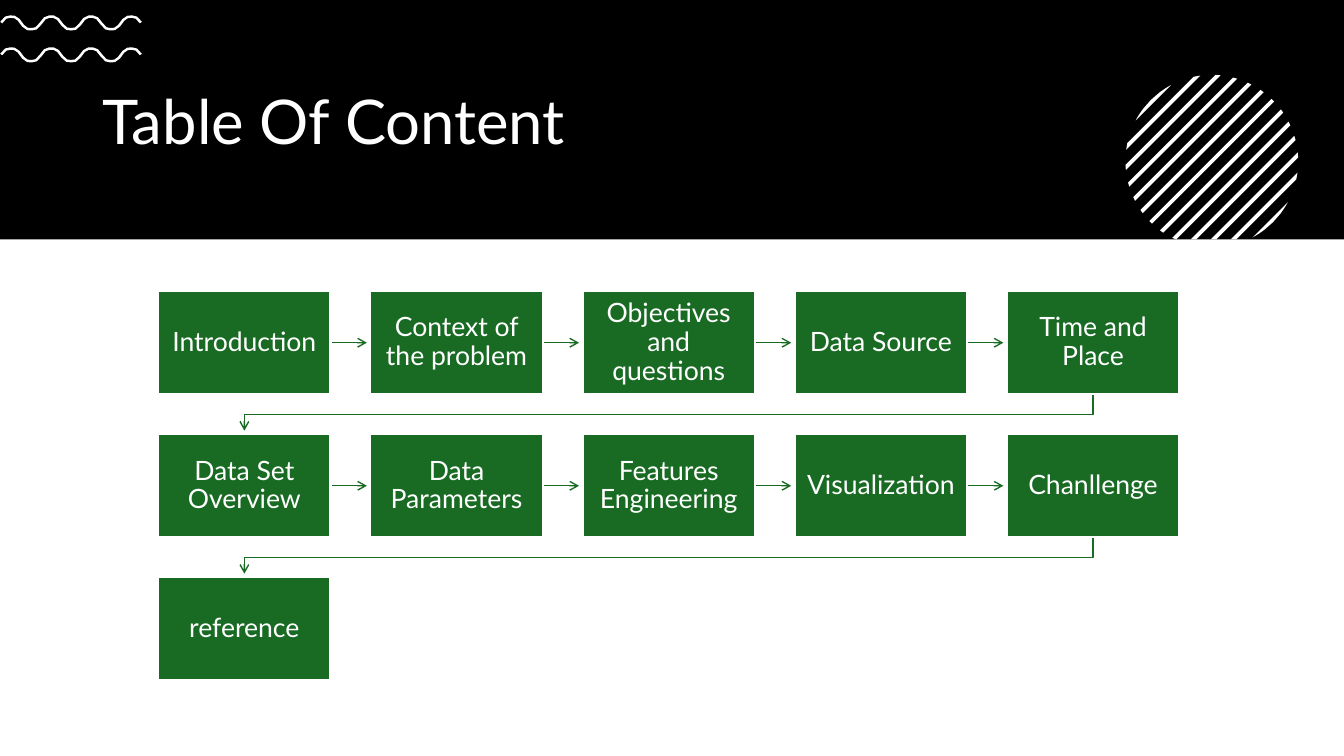
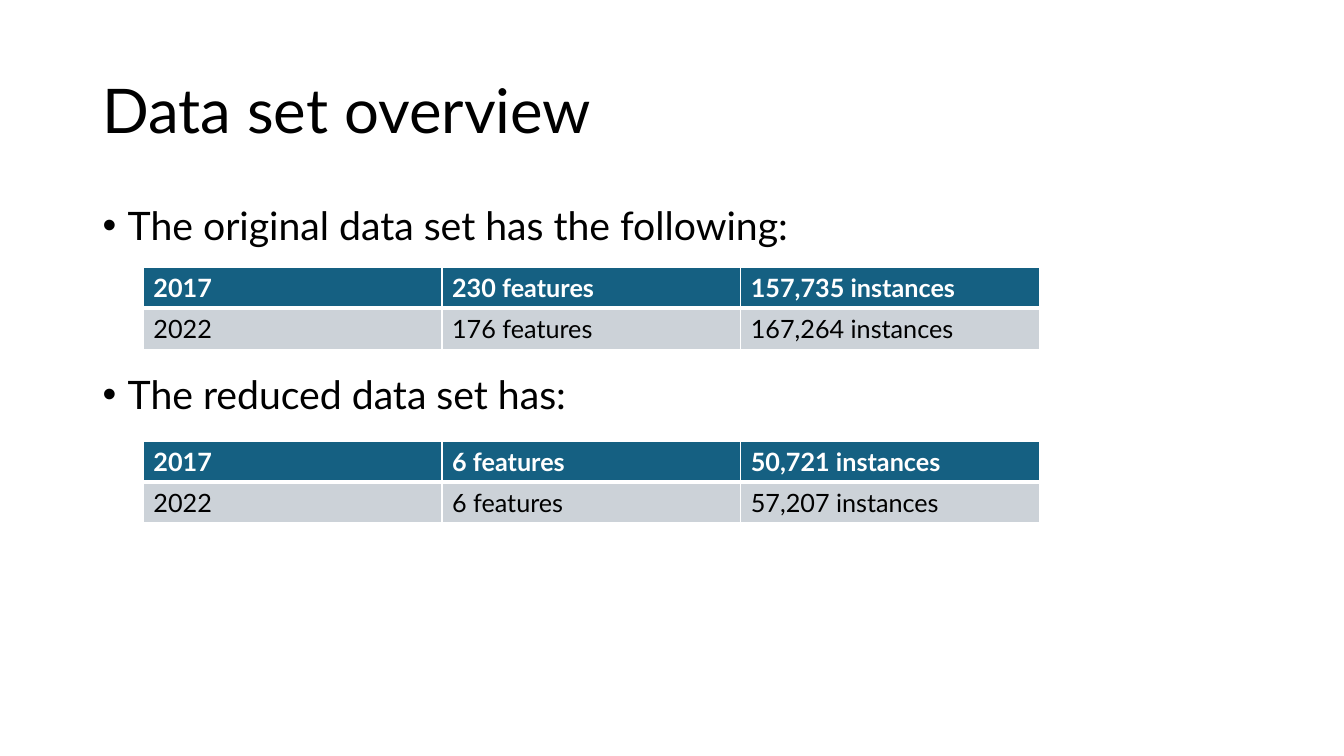
from math import cos, hypot, pi, sin, sqrt

from lxml.etree import SubElement
from pptx import Presentation
from pptx.dml.color import RGBColor
from pptx.enum.shapes import MSO_CONNECTOR, MSO_SHAPE
from pptx.enum.text import MSO_ANCHOR, PP_ALIGN
from pptx.oxml.ns import qn
from pptx.util import Pt

# Shared style
FONT = "Lato"
BLACK = RGBColor(0x00, 0x00, 0x00)
WHITE = RGBColor(0xFF, 0xFF, 0xFF)
GREEN = RGBColor(0x19, 0x6B, 0x24)
BLUE = RGBColor(0x15, 0x60, 0x82)
GREY = RGBColor(0xCC, 0xD2, 0xD8)

SLIDE_W, SLIDE_H = 960, 540
MARGIN, CONTENT_W = 66.2, 828
BAND_H = 171

TOPICS = [
    "Introduction", "Context of the problem", "Objectives and questions",
    "Data Source", "Time and Place", "Data Set Overview", "Data Parameters",
    "Features Engineering", "Visualization", "Chanllenge", "reference",
]
ORIGINAL_DATA = [
    ["2017", "230 features", "157,735 instances"],
    ["2022", "176 features", "167,264 instances"],
]
REDUCED_DATA = [
    ["2017", "6 features", "50,721 instances"],
    ["2022", "6 features", "57,207 instances"],
]


# Helpers
def style_text(p, size, color, bold=False):
    for r in p.runs:
        r.font.name = FONT
        r.font.size = Pt(size)
        r.font.bold = bold
        r.font.color.rgb = color


def add_rect(s, x, y, w, h, fill):
    sp = s.shapes.add_shape(MSO_SHAPE.RECTANGLE, Pt(x), Pt(y), Pt(w), Pt(h))
    sp.shadow.inherit = False
    sp.fill.solid()
    sp.fill.fore_color.rgb = fill
    sp.line.fill.background()
    return sp


def add_path(s, points, closed):
    points = [(Pt(x), Pt(y)) for x, y in points]
    builder = s.shapes.build_freeform(*points[0])
    builder.add_line_segments(points[1:], close=closed)
    return builder.convert_to_shape()


def add_white_outline(s, points):
    sp = add_path(s, points, closed=True)
    sp.shadow.inherit = False
    sp.fill.solid()
    sp.fill.fore_color.rgb = WHITE
    sp.line.fill.background()


def style_arrow(sp):
    sp.line.color.rgb = GREEN
    sp.line.width = Pt(1)
    spPr = sp._element.spPr
    SubElement(spPr.find(qn("a:ln")), qn("a:tailEnd"), type="arrow")
    SubElement(spPr, qn("a:effectLst"))


def add_title(s, text, y, h, color):
    box = s.shapes.add_textbox(Pt(MARGIN), Pt(y), Pt(CONTENT_W), Pt(h))
    tf = box.text_frame
    tf.word_wrap = True
    tf.vertical_anchor = MSO_ANCHOR.MIDDLE
    p = tf.paragraphs[0]
    p.text = text
    p.line_spacing = 0.9
    style_text(p, 44, color)


# Header decorations
def add_wave(s, x, y, w):
    """Ribbon of even thickness along a round-crested wave with its axis at y."""
    period, height, half, count = w / 3.55, 4.5, 0.9, 32
    step = 2 * pi / period
    upper, lower = [], []
    for i in range(count + 1):
        t = half + (w - 2 * half) * i / count
        a = step * t - 0.55 * pi
        rise = height * (cos(a) - 0.1 * cos(3 * a)) / 0.9
        slope = height * step * (sin(a) - 0.3 * sin(3 * a)) / 0.9
        nx, ny = (half * v / hypot(slope, 1) for v in (slope, -1))
        upper.append((x + t + nx, y - rise + ny))
        lower.append((x + t - nx, y - rise - ny))
    add_white_outline(s, upper + lower[::-1])


def add_striped_circle(s, cx, cy, radius, bottom):
    """Diagonal stripes bounded by a circle and cut off at bottom."""
    pitch, half, last = 14.25, 1.95, 6
    limit = radius * sqrt(2)
    for k in range(-last, last + 1):
        steps = 4 if abs(k) == last else 1
        right, left = [], []
        for i in range(steps + 1):
            d = k * pitch + half * (2 * i / steps - 1)
            d = max(-limit, min(limit, d))
            reach = sqrt(max(0, radius ** 2 - d ** 2 / 2) / 2)
            right.append((cx + d / 2 + reach, cy + d / 2 - reach))
            low = min(cy + d / 2 + reach, bottom)
            left.append((cx + cy + d - low, low))
        add_white_outline(s, right + left[::-1])


def add_header_band(s, w, h):
    add_rect(s, 0, 0, w, h, BLACK)
    add_title(s, "Table Of Content", 44.6, 88.6, WHITE)
    for y in (39.2, 16.4):
        add_wave(s, 0, y, 101.5)
    add_striped_circle(s, 865.6, 115.2, 61.7, h)


# Flow of topics, row by row
def add_topic(s, text, x, y, w, h):
    sp = add_rect(s, x, y, w, h, GREEN)
    sp.line.color.rgb = WHITE
    sp.line.width = Pt(1.5)
    tf = sp.text_frame
    tf.word_wrap = True
    tf.vertical_anchor = MSO_ANCHOR.MIDDLE
    tf.margin_left = tf.margin_right = Pt(6)
    tf.margin_top = tf.margin_bottom = Pt(6.5)
    p = tf.paragraphs[0]
    p.text = text
    p.alignment = PP_ALIGN.CENTER
    p.line_spacing = 0.9
    style_text(p, 19, WHITE)
    return sp


def add_flow(s, x, y, w, topics, columns=5):
    box_w, box_h, gap_y, clearance = 123.1, 73.8, 28.4, 2.5
    pitch_x = (w - box_w) / (columns - 1)
    for i, topic in enumerate(topics):
        row, col = divmod(i, columns)
        bx, by = x + col * pitch_x, y + row * (box_h + gap_y)
        box = add_topic(s, topic, bx, by, box_w, box_h)
        if i == len(topics) - 1:
            break
        if col < columns - 1:
            mid = Pt(by + box_h / 2)
            arrow = s.shapes.add_connector(
                MSO_CONNECTOR.STRAIGHT, Pt(bx + box_w), mid,
                Pt(bx + pitch_x - clearance), mid)
            arrow.begin_connect(box, 3)
        else:
            start, end, foot = bx + box_w / 2, x + box_w / 2, by + box_h
            turn = foot + gap_y / 2
            arrow = add_path(s, [(start, foot), (start, turn), (end, turn),
                                 (end, foot + gap_y - clearance)], closed=False)
            arrow.fill.background()
        style_arrow(arrow)
        # The box border covers the start of its arrow
        box._element.addprevious(arrow._element)


# Bullets and tables
def add_bullets(s, x, y, w, h, items, space):
    tf = s.shapes.add_textbox(Pt(x), Pt(y), Pt(w), Pt(h)).text_frame
    tf.word_wrap = True
    for i, item in enumerate(items):
        p = tf.add_paragraph() if i else tf.paragraphs[0]
        p.text = item
        pPr = p._p.get_or_add_pPr()
        pPr.set("marL", str(Pt(18)))
        pPr.set("indent", str(-Pt(18)))
        SubElement(pPr, qn("a:buFont"), typeface="Arial")
        SubElement(pPr, qn("a:buChar"), char="•")
        p.line_spacing = 0.9
        if i:
            p.space_before = Pt(space)
        style_text(p, 28, BLACK)


def set_borders(cell, widths):
    tcPr = cell._tc.get_or_add_tcPr()
    for side, width in zip("LRTB", widths):
        ln = SubElement(tcPr, qn(f"a:ln{side}"), w=str(Pt(width)))
        fill = SubElement(ln, qn("a:solidFill"))
        SubElement(fill, qn("a:srgbClr"), val=str(WHITE))


def add_data_table(s, x, y, w, rows):
    row_h = 29.2
    table = s.shapes.add_table(len(rows), len(rows[0]), Pt(x), Pt(y),
                               Pt(w), Pt(row_h * len(rows))).table
    for column in table.columns:
        column.width = Pt(w / len(rows[0]))
    for i, values in enumerate(rows):
        table.rows[i].height = Pt(row_h)
        header = i == 0
        for j, value in enumerate(values):
            cell = table.cell(i, j)
            set_borders(cell, (1, 1, 1, 3) if header else (1, 1, 3, 1))
            cell.fill.solid()
            cell.fill.fore_color.rgb = BLUE if header else GREY
            p = cell.text_frame.paragraphs[0]
            p.text = value
            style_text(p, 18, WHITE if header else BLACK, header)


# Slides
def build_contents(s):
    add_header_band(s, SLIDE_W, BAND_H)
    add_flow(s, 113, 207.9, 729.3, TOPICS)


def build_overview(s):
    add_title(s, "Data set overview", 28.8, 104.4, BLACK)
    add_bullets(s, MARGIN, 144, CONTENT_W, 342.7,
                ["The original data set has the following:",
                 "The reduced data set has:"], 90.5)
    for y, rows in ((191, ORIGINAL_DATA), (315.2, REDUCED_DATA)):
        add_data_table(s, 102.4, y, 640.1, rows)


def main():
    prs = Presentation()
    prs.slide_width, prs.slide_height = Pt(SLIDE_W), Pt(SLIDE_H)
    for build in (build_contents, build_overview):
        build(prs.slides.add_slide(prs.slide_layouts[6]))
    prs.save("out.pptx")


if __name__ == "__main__":
    main()
